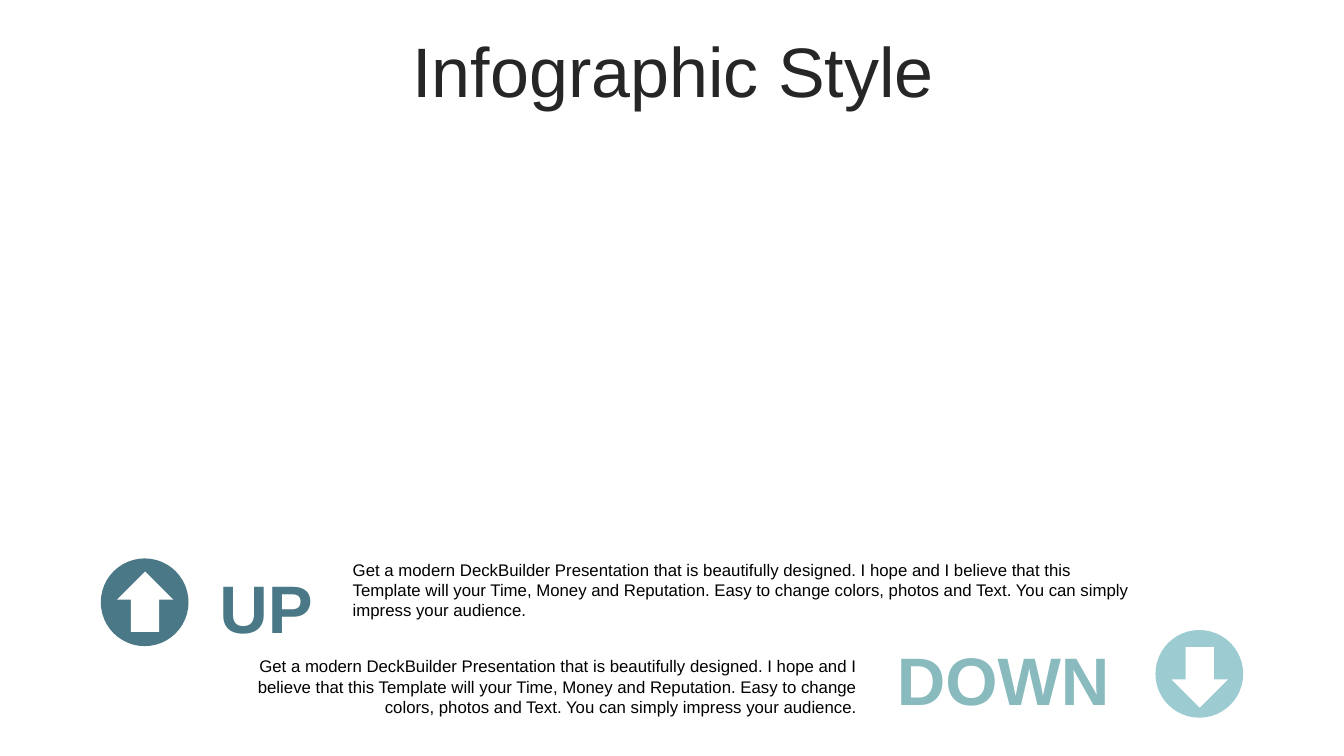
import pptx
import pptx.util
import pptx.dml.color
import pptx.enum.shapes
import pptx.enum.text

Inches = pptx.util.Inches
Pt = pptx.util.Pt
RGBColor = pptx.dml.color.RGBColor
MSO_SHAPE = pptx.enum.shapes.MSO_SHAPE
PP_ALIGN = pptx.enum.text.PP_ALIGN
MSO_ANCHOR = pptx.enum.text.MSO_ANCHOR
MSO_AUTO_SIZE = pptx.enum.text.MSO_AUTO_SIZE

INK = RGBColor(0x26, 0x26, 0x26)
BLACK = RGBColor(0x00, 0x00, 0x00)
WHITE = RGBColor(0xFF, 0xFF, 0xFF)
TEAL = RGBColor(0x4A, 0x78, 0x86)
AQUA = RGBColor(0x88, 0xBA, 0xBE)
PALE_AQUA = RGBColor(0x9C, 0xCC, 0xD2)

DESCRIPTION = (
    "Get a modern DeckBuilder Presentation that is beautifully designed. "
    "I hope and I believe that this Template will your Time, Money and "
    "Reputation. Easy to change colors, photos and Text. You can simply "
    "impress your audience."
)


def set_text(tf, text, size, color, align, bold=False):
    tf.word_wrap = True
    tf.auto_size = MSO_AUTO_SIZE.NONE
    tf.text = text
    p = tf.paragraphs[0]
    p.alignment = align
    p.font.name = "Arial"
    p.font.size = Pt(size)
    p.font.bold = bold
    p.font.color.rgb = color
    return p


def add_title(s, text):
    sp = s.shapes.title
    sp.left, sp.top = Inches(0.35), Inches(0.37)
    sp.width, sp.height = Inches(12.66), Inches(0.79)
    sp.text_frame.vertical_anchor = MSO_ANCHOR.MIDDLE
    p = set_text(sp.text_frame, text, 50, INK, PP_ALIGN.CENTER)
    p.line_spacing = 0.8


def add_heading(s, text, left, top, width, color):
    sp = s.shapes.add_textbox(Inches(left), Inches(top), Inches(width), Inches(0.81))
    tf = sp.text_frame
    tf.margin_left = tf.margin_right = tf.margin_top = tf.margin_bottom = 0
    tf.vertical_anchor = MSO_ANCHOR.BOTTOM
    set_text(tf, text, 48, color, PP_ALIGN.CENTER, bold=True)


def add_description(s, left, top, width, align):
    sp = s.shapes.add_textbox(Inches(left), Inches(top), Inches(width), Inches(0.71))
    set_text(sp.text_frame, DESCRIPTION, 12, BLACK, align)


def add_arrow_badge(s, left, top, arrow_drop, color, rotation=0):
    group = s.shapes.add_group_shape()
    parts = (
        (MSO_SHAPE.OVAL, left, top, 0.87, 0.87, color),
        (MSO_SHAPE.UP_ARROW, left + 0.16, top + arrow_drop, 0.56, 0.6, WHITE),
    )
    for kind, x, y, width, height, fill in parts:
        sp = group.shapes.add_shape(kind, Inches(x), Inches(y), Inches(width), Inches(height))
        sp.rotation = rotation
        sp.shadow.inherit = False
        sp.fill.solid()
        sp.fill.fore_color.rgb = fill
        sp.line.fill.background()


def main():
    prs = pptx.Presentation()
    prs.slide_width, prs.slide_height = Inches(13.33), Inches(7.5)
    s = prs.slides.add_slide(prs.slide_layouts[5])
    add_title(s, "Infographic Style")

    # Up row
    add_heading(s, "UP", 2.02, 5.61, 1.24, TEAL)
    add_arrow_badge(s, 1, 5.54, 0.13, TEAL)
    add_description(s, 3.4, 5.5, 7.98, PP_ALIGN.LEFT)

    # Down row
    add_heading(s, "DOWN", 8.53, 6.32, 2.84, AQUA)
    add_arrow_badge(s, 11.46, 6.25, 0.17, PALE_AQUA, rotation=180)
    add_description(s, 1.95, 6.46, 6.65, PP_ALIGN.RIGHT)

    prs.save("out.pptx")


if __name__ == "__main__":
    main()
